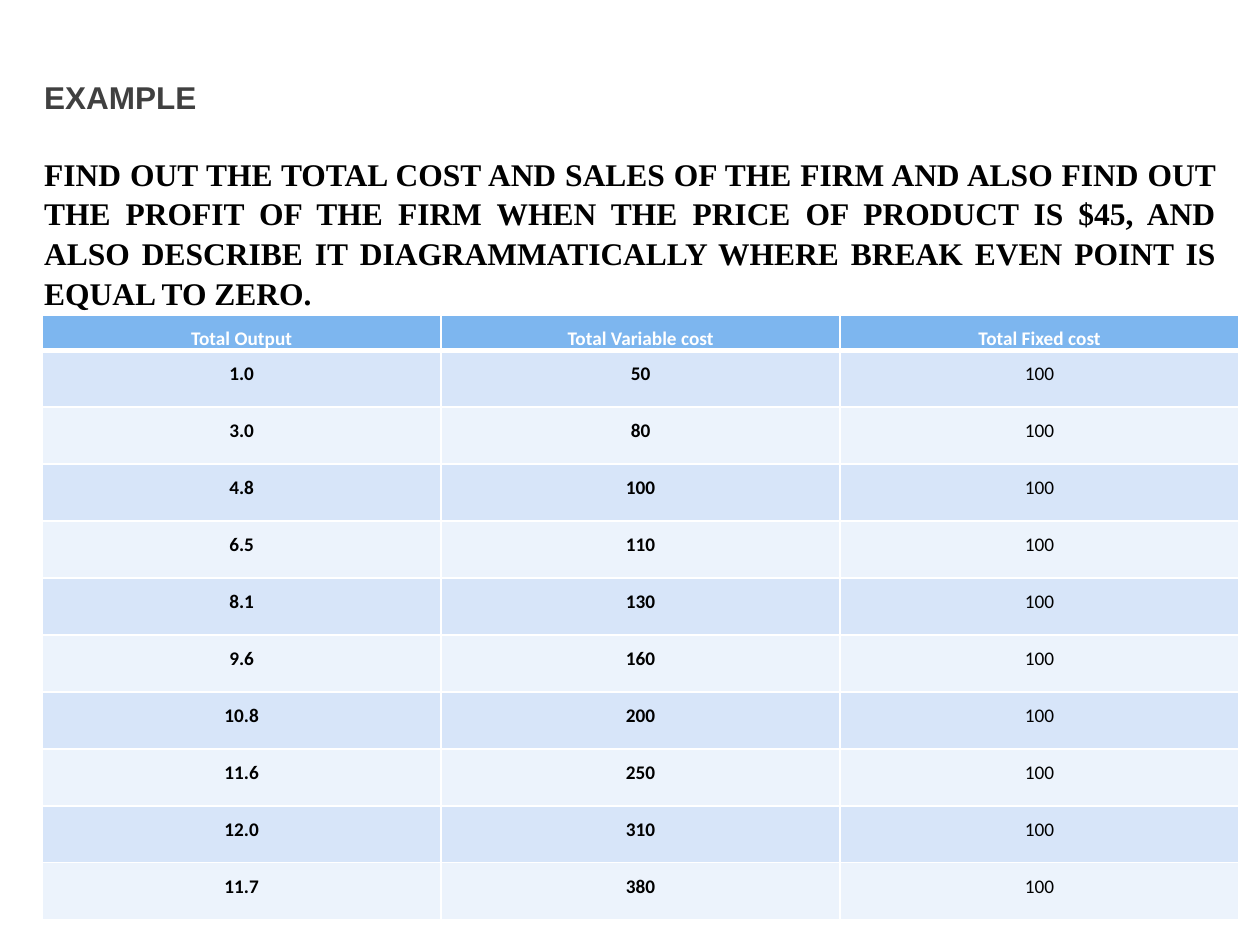
from pptx import Presentation
from pptx.dml.color import RGBColor
from pptx.enum.text import MSO_ANCHOR, PP_ALIGN
from pptx.oxml.ns import qn
from pptx.util import Cm, Pt
from lxml import etree

CENTER, JUSTIFY = PP_ALIGN.CENTER, PP_ALIGN.JUSTIFY
MIDDLE = MSO_ANCHOR.MIDDLE

COLORS = {
    "white": "FFFFFF",
    "black": "000000",
    "heading": "404040",
    "header": "7DB6EF",
    "band_dark": "D7E5F9",
    "band_light": "ECF3FC",
}

HEADING = "EXAMPLE"
QUESTION = (
    "FIND OUT THE TOTAL COST AND SALES OF THE FIRM AND ALSO FIND OUT THE PROFIT "
    "OF THE FIRM WHEN THE PRICE OF PRODUCT IS $45, AND ALSO DESCRIBE IT "
    "DIAGRAMMATICALLY WHERE BREAK EVEN POINT IS EQUAL TO ZERO."
)
HEADERS = ("Total Output", "Total Variable cost", "Total Fixed cost")
FIXED_COST = "100"
VARIABLE_COSTS = {
    "1.0": "50", "3.0": "80", "4.8": "100", "6.5": "110", "8.1": "130",
    "9.6": "160", "10.8": "200", "11.6": "250", "12.0": "310", "11.7": "380",
}


def write_text(para, text, font, size, color, bold=True, align=CENTER, spacing=1.0, after=0):
    """Write one formatted span into a paragraph."""
    para.alignment = align
    para.line_spacing = spacing
    para.space_after = Pt(after)
    span = para.add_run()
    span.text = text
    span.font.name = font
    span.font.size = Pt(size)
    span.font.bold = bold
    span.font.color.rgb = RGBColor.from_string(COLORS[color])


def add_border(cell, side, width):
    """Draw a white line on one side (L, R, T or B) of a cell."""
    line = etree.SubElement(cell._tc.get_or_add_tcPr(), qn(f"a:ln{side}"), w=str(Pt(width)))
    fill = etree.SubElement(line, qn("a:solidFill"))
    etree.SubElement(fill, qn("a:srgbClr"), val=COLORS["white"])


def add_question(page, left, top, width, height):
    """Place the heading and the question in one box."""
    frame = page.shapes.add_textbox(left, top, width, height).text_frame
    frame.word_wrap = True
    frame.vertical_anchor = MIDDLE
    write_text(frame.paragraphs[0], HEADING, "Arial", 18, "heading",
               align=JUSTIFY, spacing=1.05, after=21)
    write_text(frame.add_paragraph(), QUESTION, "Times New Roman", 18, "black",
               align=JUSTIFY, spacing=1.05)


def fill_cell(cell, text, fill, color, bold, top_line, bottom_line):
    """Format one table cell and write its text."""
    cell.margin_left = cell.margin_right = Cm(0.18)
    cell.margin_top = cell.margin_bottom = 0
    for side, width in (("L", 1), ("R", 1), ("T", top_line), ("B", bottom_line)):
        add_border(cell, side, width)
    cell.fill.solid()
    cell.fill.fore_color.rgb = RGBColor.from_string(COLORS[fill])
    write_text(cell.text_frame.paragraphs[0], text, "Calibri", 11, color,
               bold=bold, spacing=1.5)


def add_cost_table(page, left, top, width, height):
    """Place the table of output and costs with a header and banded rows."""
    rows = [HEADERS]
    rows += [(output, cost, FIXED_COST) for output, cost in VARIABLE_COSTS.items()]
    table = page.shapes.add_table(len(rows), len(HEADERS), left, top, width, height).table
    header_height = Cm(0.71)
    row_height = (height - header_height) // len(VARIABLE_COSTS)
    for column in table.columns:
        column.width = width // len(HEADERS)
    for i, values in enumerate(rows):
        is_header = i == 0
        table.rows[i].height = header_height if is_header else row_height
        fill = "header" if is_header else ("band_light", "band_dark")[i % 2]
        for j, text in enumerate(values):
            fill_cell(table.cell(i, j), text, fill,
                      color="white" if is_header else "black",
                      bold=is_header or j < 2,
                      top_line=3 if i == 1 else 1,
                      bottom_line=3 if is_header else 1)


def main():
    """Build the slide and save the deck."""
    deck = Presentation()
    deck.slide_width, deck.slide_height = Cm(25.4), Cm(19.05)
    page = deck.slides.add_slide(deck.slide_layouts[6])
    add_question(page, Cm(0.64), Cm(2.54), Cm(24.13), Cm(2.74))
    add_cost_table(page, Cm(0.85), Cm(6.35), Cm(24.13), Cm(12.19))
    deck.save("out.pptx")


if __name__ == "__main__":
    main()
